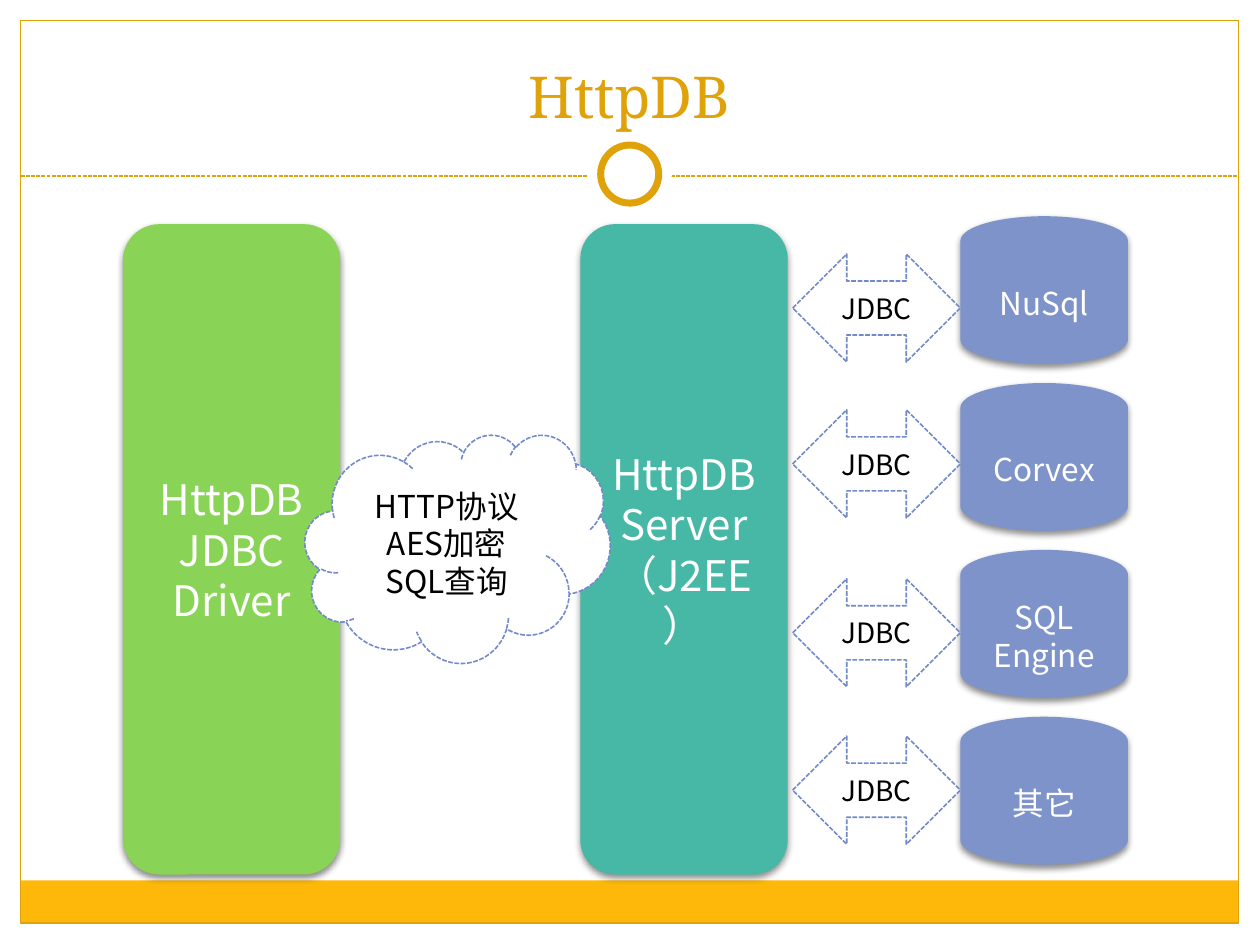
from dataclasses import dataclass

from lxml.etree import SubElement
from pptx import Presentation
from pptx.dml.color import RGBColor
from pptx.enum.dml import MSO_LINE
from pptx.enum.shapes import MSO_CONNECTOR, MSO_SHAPE
from pptx.enum.text import MSO_ANCHOR, PP_ALIGN
from pptx.oxml.ns import qn
from pptx.util import Cm, Pt


@dataclass(frozen=True)
class Theme:
    white: str = "FFFFFF"
    black: str = "000000"
    gold: str = "E0A209"
    amber: str = "FEB80A"
    green: str = "89D456"
    teal: str = "48B8A6"
    store: str = "7F93CB"
    edge: str = "738AC8"
    sans: str = "Noto Sans CJK SC"
    serif: str = "Noto Serif"
    title: int = 33
    large: int = 24
    body: int = 18
    small: int = 16


THEME = Theme()


def rgb(code):
    return RGBColor.from_string(code)


def write(frame, lines, size, color, font=THEME.sans, anchor=MSO_ANCHOR.MIDDLE):
    """Fill a text frame with centred lines, one paragraph each."""
    frame.word_wrap = True
    frame.vertical_anchor = anchor
    for i, line in enumerate(lines):
        para = frame.paragraphs[0] if i == 0 else frame.add_paragraph()
        para.alignment = PP_ALIGN.CENTER
        run = para.add_run()
        run.text = line
        run.font.size = Pt(size)
        run.font.name = font
        run.font.color.rgb = rgb(color)
        SubElement(run.font._element, qn("a:ea"), typeface=font)


def style(line, color, width, dashed=False):
    line.color.rgb = rgb(color)
    line.width = Pt(width)
    if dashed:
        line.dash_style = MSO_LINE.SQUARE_DOT


def shape(slide, kind, box, fill=None):
    """Add a flat preset shape without an outline."""
    item = slide.shapes.add_shape(kind, *map(Cm, box))
    item.shadow.inherit = False
    item.line.fill.background()
    if fill:
        item.fill.solid()
        item.fill.fore_color.rgb = rgb(fill)
    else:
        item.fill.background()
    return item


def block(slide, kind, box, fill, lines, size):
    """Add a filled shape with white text and a soft shadow below."""
    item = shape(slide, kind, box, fill)
    effect = item._element.spPr.find(qn("a:effectLst"))
    shade = SubElement(effect, qn("a:outerShdw"), blurRad=str(Pt(4)),
                       dist=str(Pt(2)), dir="5400000", rotWithShape="0")
    color = SubElement(shade, qn("a:srgbClr"), val=THEME.black)
    SubElement(color, qn("a:alpha"), val="45000")
    write(item.text_frame, lines, size, THEME.white)


def link(slide, kind, box, lines, size):
    """Add a white shape with a dashed outline and black text."""
    item = shape(slide, kind, box, THEME.white)
    style(item.line, THEME.edge, 0.9, dashed=True)
    write(item.text_frame, lines, size, THEME.black)


def disc(slide, x, y, size):
    """Add a white circle centred on a point."""
    box = (x - size / 2, y - size / 2, size, size)
    return shape(slide, MSO_SHAPE.OVAL, box, THEME.white)


def border(slide, box):
    left, top, width, height = box
    foot = 0.86
    shape(slide, MSO_SHAPE.RECTANGLE,
          (left, top + height - foot, width, foot), THEME.amber)
    style(shape(slide, MSO_SHAPE.RECTANGLE, box).line, THEME.gold, 0.75)


def header(slide, box, text):
    """Place the title above a dashed rule with a ring at its middle."""
    left, top, width, height = box
    base = top + height
    rule = slide.shapes.add_connector(
        MSO_CONNECTOR.STRAIGHT, Cm(left), Cm(base), Cm(left + width), Cm(base))
    style(rule.line, THEME.gold, 0.75, dashed=True)
    SubElement(rule._element.spPr, qn("a:effectLst"))

    mid = left + width / 2
    disc(slide, mid, base - 0.04, 1.7)
    style(disc(slide, mid, base - 0.04, 1.17).line, THEME.gold, 4)

    title = slide.shapes.add_textbox(
        Cm(left + 0.42), Cm(top + 0.21), Cm(width - 0.84), Cm(2.11))
    write(title.text_frame, [text], THEME.title, THEME.gold,
          THEME.serif, MSO_ANCHOR.BOTTOM)


def stores(slide, box, rows):
    """Stack databases on the right, each with its own arrow."""
    left, top, width, height = box
    half, tall, arrow = width / 2, 2.98, 2.18
    step = (height - tall) / (len(rows) - 1)
    for i, (lines, drop) in enumerate(rows):
        y = top + i * step
        block(slide, MSO_SHAPE.FLOWCHART_MAGNETIC_DISK,
              (left + half, y, half, tall), THEME.store, lines, THEME.body)
        link(slide, MSO_SHAPE.LEFT_RIGHT_ARROW,
             (left, y + drop, half, arrow), ["JDBC"], THEME.small)


def diagram(slide, box):
    left, top, width, height = box
    pillars = [
        (0, 4.38, THEME.green, ["HttpDB", "JDBC Driver"]),
        (9.22, 4.18, THEME.teal, ["HttpDB", "Server", "（J2EE）"]),
    ]
    for x, wide, fill, lines in pillars:
        block(slide, MSO_SHAPE.ROUNDED_RECTANGLE,
              (left + x, top + 0.16, wide, height - 0.16),
              fill, lines, THEME.large)
    rows = [(["NuSql"], 0.76), (["Corvex"], 0.54),
            (["SQL", "Engine"], 0.58), (["其它"], 0.39)]
    stores(slide, (left + 13.5, top, width - 13.5, 13.07), rows)
    link(slide, MSO_SHAPE.CLOUD, (left + 3.67, top + 4.4, 6.15, 4.6),
         ["HTTP协议", "AES加密", "SQL查询"], THEME.body)


def main():
    deck = Presentation()
    deck.slide_width, deck.slide_height = Cm(25.4), Cm(19.05)
    slide = deck.slides.add_slide(deck.slide_layouts[6])
    border(slide, (0.42, 0.42, 24.55, 18.19))
    header(slide, (0.42, 0.42, 24.55, 3.13), "HttpDB")
    diagram(slide, (2.48, 4.36, 20.26, 13.27))
    deck.save("out.pptx")


if __name__ == "__main__":
    main()
